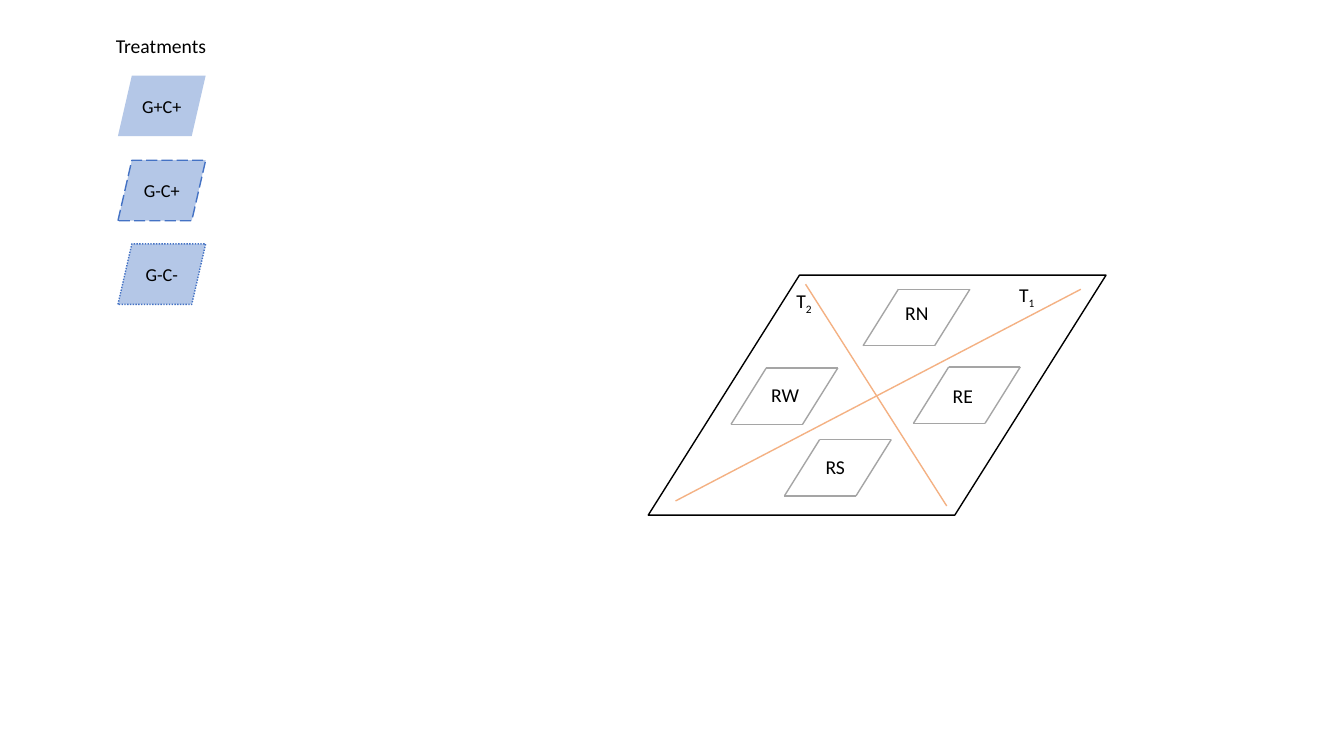
from pptx import Presentation
from pptx.dml.color import RGBColor
from pptx.enum.dml import MSO_LINE
from pptx.enum.shapes import MSO_CONNECTOR, MSO_SHAPE
from pptx.enum.text import MSO_ANCHOR, MSO_AUTO_SIZE, PP_ALIGN
from pptx.oxml.ns import qn
from pptx.util import Emu, Pt
from lxml.etree import SubElement

PX = 9144  # 100 px to the inch
FONT = "Calibri"
BLACK = RGBColor(0x00, 0x00, 0x00)
WHITE = RGBColor(0xFF, 0xFF, 0xFF)
GREY = RGBColor(0xA5, 0xA5, 0xA5)
ORANGE = RGBColor(0xF4, 0xB1, 0x83)
BLUE = RGBColor(0x44, 0x72, 0xC4)
LIGHT_BLUE = RGBColor(0xB4, 0xC7, 0xE7)

deck = Presentation()
deck.slide_width = Emu(1333 * PX)
deck.slide_height = Emu(750 * PX)
page = deck.slides.add_slide(deck.slide_layouts[6])
shapes = page.shapes


def add_line(start, end, color):
    ends = [Emu(value * PX) for value in (*start, *end)]
    line = shapes.add_connector(MSO_CONNECTOR.STRAIGHT, *ends)
    line.line.color.rgb = color
    line.line.width = Pt(1)
    SubElement(line._element.spPr, qn("a:effectLst"))


def add_label(left, top, width, text, subscript=""):
    box = shapes.add_textbox(*[Emu(value * PX) for value in (left, top, width, 34)])
    box.text_frame.word_wrap = False
    box.text_frame.auto_size = MSO_AUTO_SIZE.SHAPE_TO_FIT_TEXT
    para = box.text_frame.paragraphs[0]
    para.font.name = FONT
    para.font.size = Pt(14)
    para.font.color.rgb = BLACK
    para.add_run().text = text
    if subscript:
        span = para.add_run()
        span.text = subscript
        span._r.get_or_add_rPr().set("baseline", "-25000")


# Field outline
field = shapes.add_shape(MSO_SHAPE.PARALLELOGRAM,
                         *[Emu(value * PX) for value in (643, 273, 454, 238)])
field.adjustments[0] = 0.63
field.shadow.inherit = False
field.fill.solid()
field.fill.fore_color.rgb = WHITE
field.line.color.rgb = BLACK
field.line.width = Pt(1)

# Plots: top left corner of each, drawn as four sides
PLOT_WIDTH, PLOT_HEIGHT, PLOT_SLANT = 71, 56, 35
for left, top in [(760, 365), (941, 364), (891, 287), (813, 436)]:
    right, bottom = left + PLOT_WIDTH, top + PLOT_HEIGHT
    for x in (left, right):
        add_line((x, top), (x - PLOT_SLANT, bottom), GREY)
    add_line((right, top), (left, top), GREY)
    add_line((right - PLOT_SLANT, bottom), (left - PLOT_SLANT, bottom), GREY)

# Transects
add_line((670, 497), (1072, 287), ORANGE)
add_line((939, 502), (799, 282), ORANGE)

# Transect and plot labels
add_label(1001, 276, 36, "T", "1")
add_label(780, 282, 36, "T", "2")
for left, top, width, name in [(888, 294, 44, "RN"), (755, 375, 48, "RW"),
                               (935, 376, 41, "RE"), (809, 446, 40, "RS")]:
    add_label(left, top, width, name)

# Treatment legend
add_label(105, 29, 111, "Treatments")
treatments = [("G+C+", None), ("G-C+", MSO_LINE.LONG_DASH), ("G-C-", MSO_LINE.ROUND_DOT)]
for row, (name, dash) in enumerate(treatments):
    treatment = shapes.add_shape(
        MSO_SHAPE.PARALLELOGRAM,
        *[Emu(value * PX) for value in (117, 75 + round(row * 83.5), 87, 60)])
    treatment.adjustments[0] = 0.23
    treatment.shadow.inherit = False
    treatment.fill.solid()
    treatment.fill.fore_color.rgb = LIGHT_BLUE
    if dash:
        treatment.line.color.rgb = BLUE
        treatment.line.width = Pt(1)
        treatment.line.dash_style = dash
    else:
        treatment.line.fill.background()
    frame = treatment.text_frame
    frame.word_wrap = False
    frame.vertical_anchor = MSO_ANCHOR.MIDDLE
    para = frame.paragraphs[0]
    para.text = name
    para.alignment = PP_ALIGN.CENTER
    para.font.name = FONT
    para.font.size = Pt(13)
    para.font.color.rgb = BLACK

deck.save("out.pptx")
